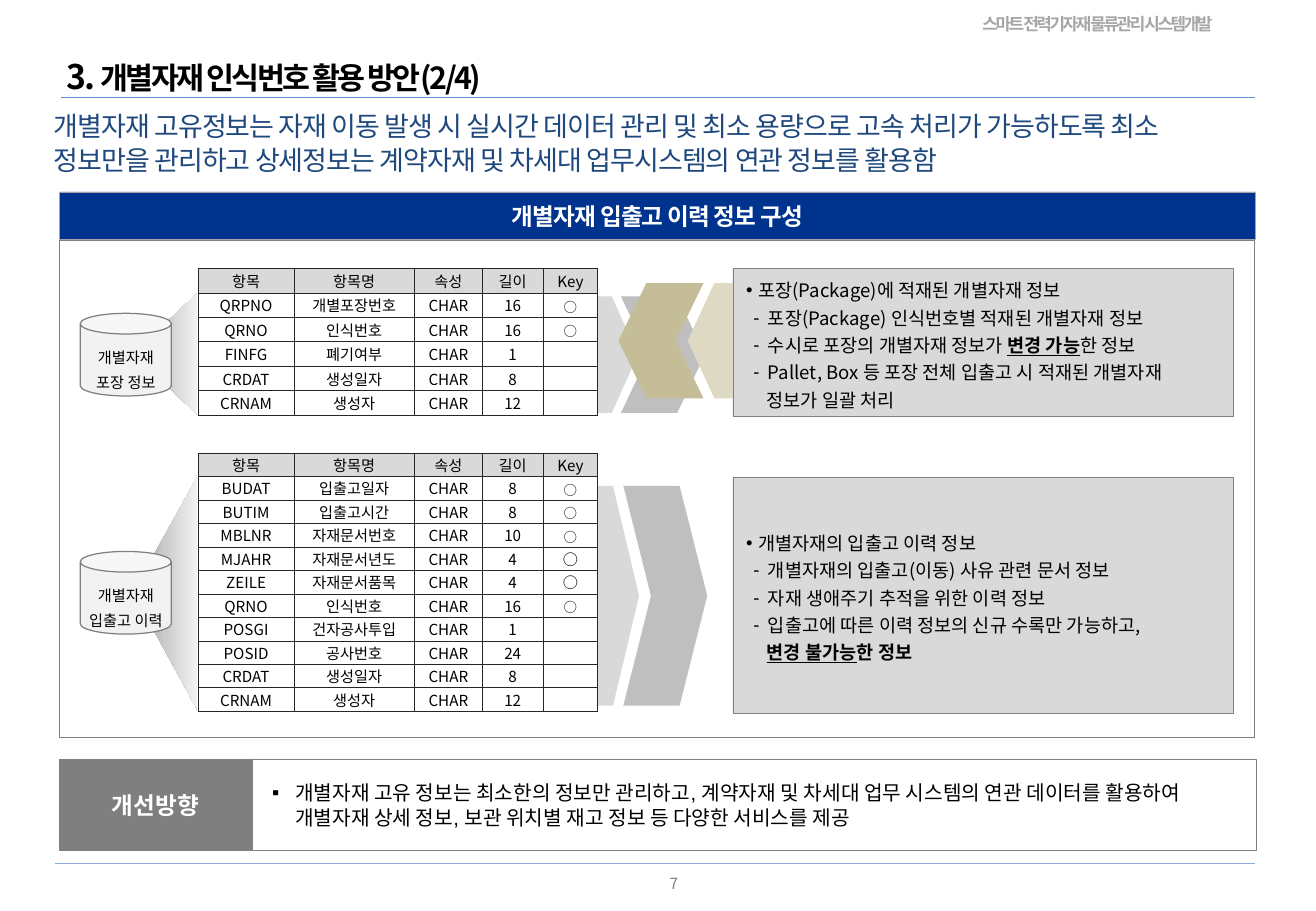
"""Builds the slide on using identification numbers of individual materials."""
from copy import deepcopy
from dataclasses import dataclass
from typing import Optional, Sequence

from pptx import Presentation
from pptx import util as u
from pptx.dml.color import RGBColor
from pptx.enum import shapes, text
from pptx.oxml.ns import qn
from lxml import etree

BLACK, WHITE = RGBColor(0, 0, 0), RGBColor(255, 255, 255)
NAVY, INK_BLUE = RGBColor(0x00, 0x33, 0x8D), RGBColor(0x1F, 0x49, 0x7D)
TITLE_RULE, FOOTER_RULE = RGBColor(0x55, 0x8E, 0xD5), RGBColor(0x8F, 0xAA, 0xDC)
BORDER, GREY, LABEL_GREY = (RGBColor(v, v, v) for v in (0x26, 0x80, 0x7F))
HEADER_GREY, MID_GREY, PANEL_GREY, CAN_GREY = (RGBColor(v, v, v) for v in (0xA6, 0xBF, 0xD9, 0xF2))
SAND, LIGHT_SAND = RGBColor(0xC4, 0xBD, 0x97), RGBColor(0xDD, 0xD9, 0xC3)
FAN_STOPS = ((0, RGBColor(0x90, 0x90, 0x90)), (0.5, RGBColor(0xCC, 0xCC, 0xCC)), (1, CAN_GREY))
KOREAN, LATIN = "Noto Sans CJK KR", "Arial"
CELL = u.Inches(0.1)
COLUMNS, ROWS = 108.3, 75
TABLE_COLUMNS = (7.9, 9.9, 5.6, 5.0, 4.5)
HEADINGS = ("항목", "항목명", "속성", "길이", "Key")
KIND = shapes.MSO_SHAPE
CENTER, LEFT = text.PP_ALIGN.CENTER, text.PP_ALIGN.LEFT
MIDDLE, TOP = text.MSO_ANCHOR.MIDDLE, text.MSO_ANCHOR.TOP


@dataclass(frozen=True)
class Area:
    """A place on the grid, in columns and rows."""
    left: float
    top: float
    width: float
    height: float

    def lengths(self) -> list[int]:
        """Return the place as slide lengths."""
        return [round(n * CELL) for n in (self.left, self.top, self.width, self.height)]


@dataclass(frozen=True)
class Style:
    """The look of one run of text."""
    size: float
    color: RGBColor = BLACK
    bold: bool = False
    underline: bool = False
    tracking: int = 0
    font: str = KOREAN


@dataclass(frozen=True)
class Line:
    """A paragraph of (text, style) spans; margin and hang are in grid columns."""
    spans: Sequence[tuple[str, Style]]
    align: text.PP_ALIGN = LEFT
    pitch: Optional[float] = None
    bullet: str = ""
    margin: float = 0
    hang: float = 0


@dataclass(frozen=True)
class Figure:
    """A preset shape with its fill, outline and first adjustment."""
    kind: shapes.MSO_SHAPE
    area: Area
    fill: Optional[RGBColor] = None
    outline: Optional[RGBColor] = None
    weight: float = 0.25
    adjust: Optional[float] = None
    mirrored: bool = False


@dataclass(frozen=True)
class Record:
    """A stored record type: can, fan-out, field table and explanation."""
    label: str
    can_top: float
    fan: Area
    table_top: float
    table_height: float
    fields: Sequence[tuple]
    panel: Area
    notes: Sequence[Line]
    arrows: Sequence[Figure]


BODY = Style(11)
STRONG = Style(11, bold=True)
MARKED = Style(11, bold=True, underline=True)
CELL_TEXT = Style(9)


def head(words: str) -> Line:
    """Return a main point of an explanation."""
    return Line([(words, BODY)], pitch=16.2, bullet="•", margin=1, hang=1)


def dash(*spans: tuple[str, Style]) -> Line:
    """Return a dashed point of an explanation."""
    return Line(spans, pitch=16.2, bullet="-", margin=1.8, hang=1.2)


def tail(*spans: tuple[str, Style]) -> Line:
    """Return the continued line of a dashed point."""
    return Line(spans, pitch=16.2, margin=1.7)


def write(frame, lines: Sequence[Line], anchor=MIDDLE, insets=(1, 0.5, 1, 0.5), wrap=True) -> None:
    """Fill a text frame with lines, run by run."""
    frame.word_wrap, frame.auto_size = wrap, text.MSO_AUTO_SIZE.NONE
    frame.vertical_anchor = anchor
    frame.margin_left, frame.margin_top, frame.margin_right, frame.margin_bottom = (
        round(n * CELL) for n in insets)
    for index, line in enumerate(lines):
        para = frame.add_paragraph() if index else frame.paragraphs[0]
        add_line(para, line)


def add_line(para, line: Line) -> None:
    """Format one paragraph and add its runs."""
    para.alignment = line.align
    if line.pitch:
        para.line_spacing = u.Pt(line.pitch)
    properties = para._p.get_or_add_pPr()
    properties.set("marL", str(round(line.margin * CELL)))
    properties.set("indent", str(round(-line.hang * CELL)))
    if line.bullet:
        etree.SubElement(properties, qn("a:buFont")).set("typeface", LATIN)
        etree.SubElement(properties, qn("a:buChar")).set("char", line.bullet)
    for words, style in line.spans:
        span = para.add_run()
        span.text = words
        font = span.font
        font.size, font.name, font.bold = u.Pt(style.size), style.font, style.bold
        font.underline, font.color.rgb = style.underline, style.color
        marks = font._element
        marks.set("spc", str(style.tracking))
        etree.SubElement(marks, qn("a:ea")).set("typeface", KOREAN)


def draw(page, figure: Figure):
    """Add a preset shape."""
    box = page.shapes.add_shape(figure.kind, *figure.area.lengths())
    box.shadow.inherit = False
    if figure.fill is None:
        box.fill.background()
    else:
        box.fill.solid()
        box.fill.fore_color.rgb = figure.fill
    if figure.outline is None:
        box.line.fill.background()
    else:
        box.line.color.rgb, box.line.width = figure.outline, u.Pt(figure.weight)
    if figure.adjust is not None:
        box.adjustments[0] = figure.adjust
    if figure.mirrored:
        box._element.spPr.find(qn("a:xfrm")).set("flipH", "1")
    return box


def draw_fan(page, area: Area) -> None:
    """Add the shaded triangle that opens from a can to its table."""
    fan = draw(page, Figure(KIND.ISOSCELES_TRIANGLE, area, adjust=0.505))
    fan.rotation = 270
    fan.fill.gradient()
    fan.fill.gradient_angle = 270
    stops = fan._element.spPr.find(qn("a:gradFill")).find(qn("a:gsLst"))
    stops.append(deepcopy(stops[-1]))
    for stop, (position, color) in zip(fan.fill.gradient_stops, FAN_STOPS):
        stop.position, stop.color.rgb = position, color


def draw_rule(page, left: float, top: float, color: RGBColor, weight: float) -> None:
    """Add a horizontal rule that ends at the right margin."""
    start, level, end = (round(n * CELL) for n in (left, top, 103.3))
    rule = page.shapes.add_connector(shapes.MSO_CONNECTOR.STRAIGHT, start, level, end, level)
    rule.line.color.rgb, rule.line.width = color, u.Pt(weight)
    etree.SubElement(rule._element.spPr, qn("a:effectLst"))


def draw_label(page, area: Area, line: Line, insets=(0, 0, 0, 0), wrap=True) -> None:
    """Add a text box with one paragraph."""
    write(page.shapes.add_textbox(*area.lengths()).text_frame, [line], TOP, insets, wrap)


def fill_cell(cell, words: str, style: Style, color: RGBColor) -> None:
    """Write, border and fill one table cell."""
    spans = [(words, style)] if words else []
    cell.vertical_anchor = MIDDLE
    cell.margin_left = cell.margin_right = round(0.8 * CELL)
    cell.margin_top = cell.margin_bottom = 0
    para = cell.text_frame.paragraphs[0]
    add_line(para, Line(spans, CENTER, pitch=13))
    if not words:
        para._p.get_or_add_endParaRPr().set("sz", "900")
    properties = cell._tc.get_or_add_tcPr()
    for side in ("a:lnL", "a:lnR", "a:lnT", "a:lnB"):
        edge = etree.SubElement(properties, qn(side), w=str(u.Pt(0.5)))
        etree.SubElement(etree.SubElement(edge, qn("a:solidFill")), qn("a:srgbClr")).set("val", str(BORDER))
    cell.fill.solid()
    cell.fill.fore_color.rgb = color


def draw_table(page, record: Record) -> None:
    """Add the field table of a record."""
    rows = [HEADINGS] + [(code, name, "CHAR", size, "○" if key else "")
                         for code, name, size, key in record.fields]
    area = Area(16.3, record.table_top, sum(TABLE_COLUMNS), record.table_height)
    table = page.shapes.add_table(len(rows), len(HEADINGS), *area.lengths()).table
    table.first_row = table.horz_banding = False
    for column, width in zip(table.columns, TABLE_COLUMNS):
        column.width = round(width * CELL)
    for index, row in enumerate(rows):
        table.rows[index].height = round(record.table_height / len(rows) * CELL)
        for place, words in enumerate(row):
            style = Style(record.fields[index - 1][3]) if words == "○" else CELL_TEXT
            fill_cell(table.cell(index, place), words, style, WHITE if index else PANEL_GREY)


def draw_record(page, record: Record) -> None:
    """Add a record's arrows, fan, table, can and explanation."""
    for arrow in record.arrows:
        draw(page, arrow)
    draw_fan(page, record.fan)
    draw_table(page, record)
    can = draw(page, Figure(KIND.CAN, Area(6.6, record.can_top, 7.5, 6.8), CAN_GREY, GREY, 0.75))
    write(can.text_frame, [Line([(words, CELL_TEXT)], CENTER, 15) for words in ("개별자재", record.label)],
          insets=(0, 1.6, 0, 0.5))
    panel = draw(page, Figure(KIND.RECTANGLE, record.panel, PANEL_GREY, GREY))
    write(panel.text_frame, record.notes, insets=(1.1, 0.5, 1.1, 0.5))


RECORDS = (
    Record("포장 정보", 25.8, Area(8.6, 26.5, 10, 5.3), 22.1, 12.1,
           (("QRPNO", "개별포장번호", "16", 8), ("QRNO", "인식번호", "16", 8), ("FINFG", "폐기여부", "1", 0),
            ("CRDAT", "생성일자", "8", 0), ("CRNAM", "생성자", "12", 0)),
           Area(60.3, 22.1, 41.2, 12.2),
           (head("포장(Package)에 적재된 개별자재 정보"),
            dash(("포장(Package) 인식번호별 적재된 개별자재 정보", BODY)),
            dash(("수시로 포장의 개별자재 정보가 ", BODY), ("변경 가능", MARKED), ("한 정보", BODY)),
            dash(("Pallet, Box 등 포장 전체 입출고 시 적재된 개별자재", BODY)),
            tail(("정보가 일괄 처리", BODY))),
           (Figure(KIND.PENTAGON, Area(48.2, 24.4, 4.3, 9.6), PANEL_GREY),
            Figure(KIND.CHEVRON, Area(51.1, 24.4, 6.9, 9.6), MID_GREY, adjust=0.329),
            Figure(KIND.PENTAGON, Area(56.6, 23.3, 4.4, 9.5), LIGHT_SAND, mirrored=True),
            Figure(KIND.CHEVRON, Area(50.9, 23.3, 7, 9.5), SAND, adjust=0.329, mirrored=True))),
    Record("입출고 이력", 45.4, Area(4, 46.2, 19.2, 5.3), 37.3, 21.3,
           (("BUDAT", "입출고일자", "8", 8), ("BUTIM", "입출고시간", "8", 8), ("MBLNR", "자재문서번호", "10", 8),
            ("MJAHR", "자재문서년도", "4", 9), ("ZEILE", "자재문서품목", "4", 9), ("QRNO", "인식번호", "16", 8),
            ("POSGI", "건자공사투입", "1", 0), ("POSID", "공사번호", "24", 0), ("CRDAT", "생성일자", "8", 0),
            ("CRNAM", "생성자", "12", 0)),
           Area(60.3, 39.3, 41.2, 19.4),
           (head("개별자재의 입출고 이력 정보"),
            dash(("개별자재의 입출고(이동) 사유 관련 문서 정보", BODY)),
            dash(("자재 생애주기 추적을 위한 이력 정보", BODY)),
            dash(("입출고에 따른 이력 정보의 신규 수록만 가능하고,", BODY)),
            tail(("변경 불가능", MARKED), ("한 정보", STRONG))),
           (Figure(KIND.PENTAGON, Area(48.3, 40, 4.3, 18.1), PANEL_GREY),
            Figure(KIND.CHEVRON, Area(51.3, 40, 6.9, 18.1), MID_GREY, adjust=0.329))),
)


def main() -> None:
    """Build and save the slide."""
    deck = Presentation()
    deck.slide_width, deck.slide_height = round(COLUMNS * CELL), ROWS * CELL
    page = deck.slides.add_slide(deck.slide_layouts[5])
    title = page.shapes.title
    title.left, title.top, title.width, title.height = Area(4.5, 3, 98.9, 4.5).lengths()
    write(title.text_frame, [Line([("3. ", Style(20, bold=True, tracking=-150)),
                                   ("개별자재 인식번호 활용 방안(2/4)", Style(18, bold=True, tracking=-150))],
                                  pitch=32)], TOP)
    draw_label(page, Area(52.3, 71.4, 5.5, 3.1), Line([("7", Style(9.1, GREY))], CENTER), (0.8, 0.6, 0, 0))
    draw_label(page, Area(79.2, 0.7, 22.2, 2.4),
               Line([("스마트 전력기자재 물류관리 시스템개발", Style(10, HEADER_GREY, True, tracking=-140))], CENTER),
               (0.4, 0.4, 0.4, 0.4), False)
    draw_rule(page, 5, 8, TITLE_RULE, 0.25)
    draw_rule(page, 4.5, 71.1, FOOTER_RULE, 0.75)
    draw_label(page, Area(4.4, 9, 98.9, 5.9), Line([(
        "개별자재 고유정보는 자재 이동 발생 시 실시간 데이터 관리 및 최소 용량으로 고속 처리가 가능하도록 최소 "
        "정보만을 관리하고 상세정보는 계약자재 및 차세대 업무시스템의 연관 정보를 활용함",
        Style(16, INK_BLUE, tracking=-50))], pitch=19.6))
    banner = draw(page, Figure(KIND.RECTANGLE, Area(4.9, 15.8, 98.4, 3.9), NAVY, HEADER_GREY))
    write(banner.text_frame, [Line([("개별자재 입출고 이력 정보 구성", Style(14, WHITE, True, tracking=-50))], CENTER)])
    draw(page, Figure(KIND.RECTANGLE, Area(4.9, 19.8, 98.3, 40.9), outline=GREY))
    for record in RECORDS:
        draw_record(page, record)
    summary = draw(page, Figure(KIND.RECTANGLE, Area(20.8, 62.5, 82.6, 7.5), WHITE, GREY))
    write(summary.text_frame, [Line([(
        "개별자재 고유 정보는 최소한의 정보만 관리하고, 계약자재 및 차세대 업무 시스템의 연관 데이터를 활용하여 "
        "개별자재 상세 정보, 보관 위치별 재고 정보 등 다양한 서비스를 제공", Style(12, font=LATIN))],
        pitch=15, bullet="▪", margin=1.9, hang=1.9)], insets=(1.6, 0.5, 0, 0.5))
    direction = draw(page, Figure(KIND.RECTANGLE, Area(4.9, 62.5, 15.8, 7.5), LABEL_GREY, GREY))
    write(direction.text_frame, [Line([("개선방향", Style(14, WHITE, True, font=LATIN))], CENTER)])
    deck.save("out.pptx")


if __name__ == "__main__":
    main()
